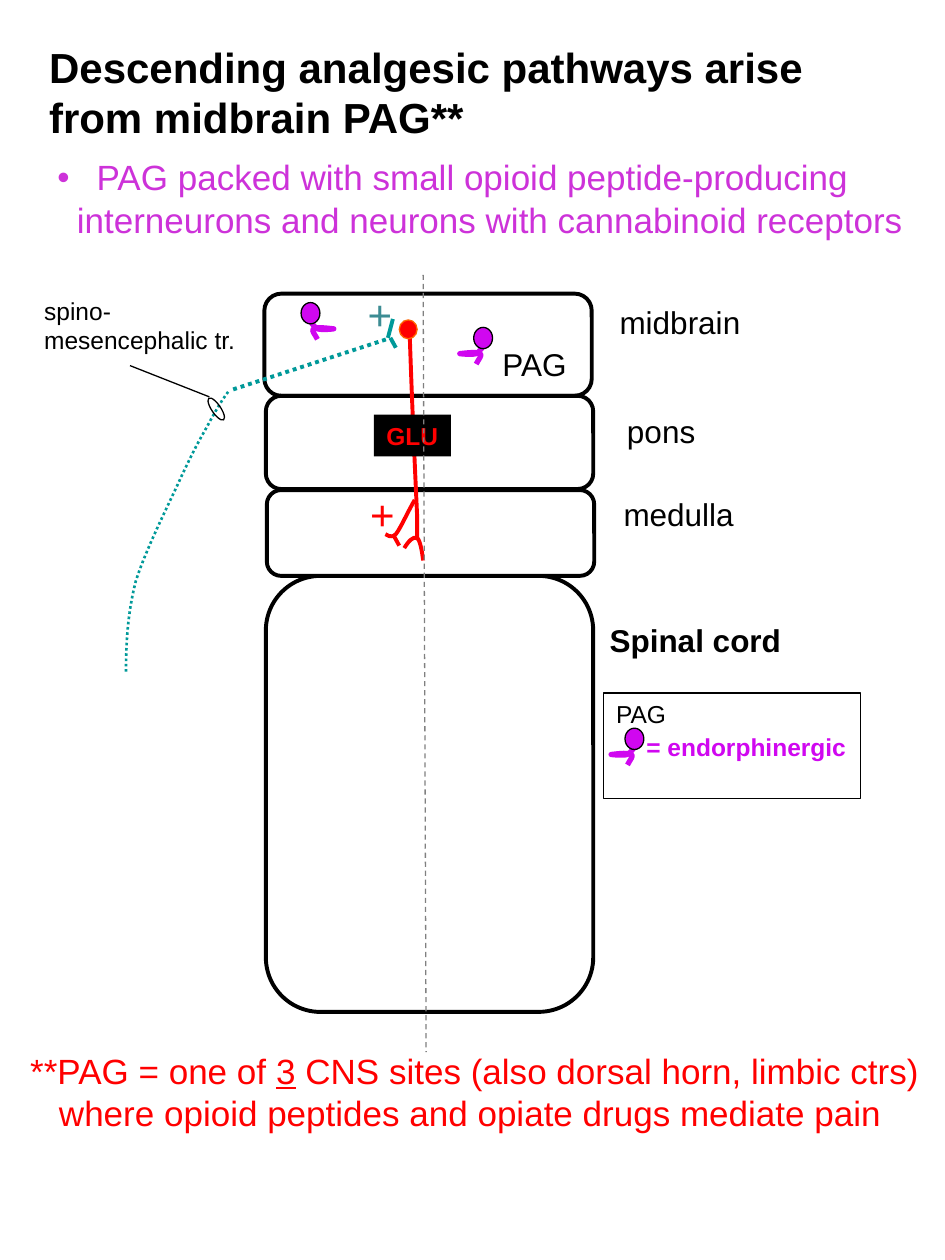
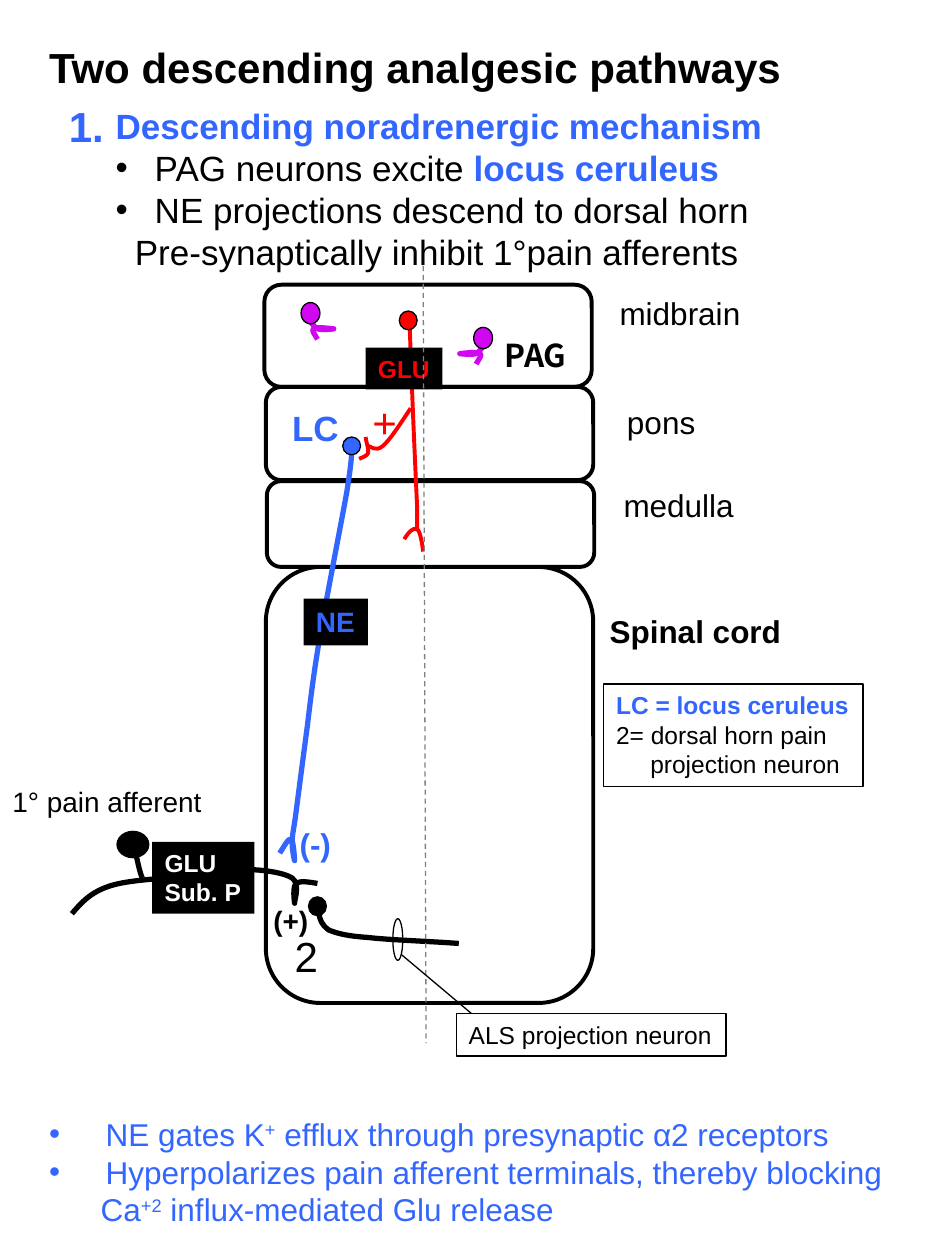
"""Build two slides on the descending analgesic pathways from the midbrain PAG."""
from lxml import etree
from pptx import Presentation
from pptx.dml.color import RGBColor
from pptx.enum.dml import MSO_LINE
from pptx.enum.shapes import MSO_CONNECTOR, MSO_SHAPE
from pptx.enum.text import MSO_ANCHOR, PP_ALIGN
from pptx.oxml.ns import qn
from pptx.util import Cm, Pt

STRAIGHT = MSO_CONNECTOR.STRAIGHT
RECTANGLE, ROUNDED, OVAL = MSO_SHAPE.RECTANGLE, MSO_SHAPE.ROUNDED_RECTANGLE, MSO_SHAPE.OVAL
DASH, DOT = MSO_LINE.DASH, MSO_LINE.ROUND_DOT
TOP, LEFT = MSO_ANCHOR.TOP, PP_ALIGN.LEFT

COLORS = {
    "black": "000000", "white": "FFFFFF", "red": "FF0000", "orange": "FF6600",
    "blue": "3366FF", "purple": "D007F0", "orchid": "CD32D9", "teal": "009999",
    "dark teal": "3C8C93", "gray": "808080",
}
RGB = {name: RGBColor.from_string(value) for name, value in COLORS.items()}


def write(page, place, paragraphs, size, color="black", bold=False, fill=None, edge=None,
          wrap=False, font="Arial", gap=0):
    """Write paragraphs, each a string or (margin, bullet, spans), in a plain or framed box."""
    area = [Cm(length) for length in place]
    if fill or edge:
        box = page.shapes.add_shape(RECTANGLE, *area)
        box.shadow.inherit = False
        box.fill.background()
        box.line.fill.background()
        if fill:
            box.fill.solid()
            box.fill.fore_color.rgb = RGB[fill]
        if edge:
            box.line.color.rgb = RGB[edge]
            box.line.width = Pt(0.75)
    else:
        box = page.shapes.add_textbox(*area)
    frame = box.text_frame
    frame.word_wrap = wrap
    frame.vertical_anchor = TOP
    for index, content in enumerate(paragraphs):
        para = frame.add_paragraph() if index else frame.paragraphs[0]
        para.alignment = LEFT
        if index and gap:
            para.space_before = Pt(gap)
        if isinstance(content, str):
            content = (0, False, [(content, {})])
        margin, bullet, spans = content
        if margin:
            properties = para._p.get_or_add_pPr()
            properties.set("marL", str(Cm(margin)))
            properties.set("indent", str(-Cm(margin) if bullet else 0))
            if bullet:
                etree.SubElement(properties, qn("a:buFont")).set("typeface", font)
                etree.SubElement(properties, qn("a:buChar")).set("char", "•")
        for text, style in spans:
            span = para.add_run()
            span.text = text
            span.font.name = font
            span.font.size = Pt(size)
            span.font.bold = style.get("bold", bold)
            span.font.color.rgb = RGB[style.get("color", color)]
            if "underline" in style:
                span.font.underline = True
            if "raised" in style:
                span._r.get_or_add_rPr().set("baseline", "30000")


def trace(page, points, color, width=2.25, dash=None, fill=None):
    """Draw a chain of cubic curves: a start point, then three points for each curve."""
    start, *rest = [(Cm(x), Cm(y)) for x, y in points]
    builder = page.shapes.build_freeform(*start)
    builder.add_line_segments(rest, close=False)
    curve = builder.convert_to_shape()
    segments = list(curve._element.iter(qn("a:lnTo")))
    for first in range(0, len(segments), 3):
        bend = etree.Element(qn("a:cubicBezTo"))
        segments[first].addprevious(bend)
        for segment in segments[first:first + 3]:
            bend.append(segment[0])
            segment.getparent().remove(segment)
    curve.shadow.inherit = False
    curve.fill.background()
    if fill:
        curve.fill.solid()
        curve.fill.fore_color.rgb = RGB[fill]
    curve.line.color.rgb = RGB[color]
    curve.line.width = Pt(width)
    if dash:
        curve.line.dash_style = dash


deck = Presentation()
deck.slide_width, deck.slide_height = Cm(19.05), Cm(25.4)
pathway, noradrenergic = [deck.slides.add_slide(deck.slide_layouts[6]) for _ in range(2)]

bands = [(5.33, 5.92, 2.06), (5.36, 11.61, 8.79), (5.36, 7.98, 1.88), (5.38, 9.88, 1.73)]
labels = [("midbrain", 12.24, 5.99), ("pons", 12.39, 8.18), ("medulla", 12.32, 9.86),
          ("Spinal cord", 12.04, 12.4)]
axon = [(8.26, 6.73), (8.31, 8.26), (8.38, 9.75), (8.41, 10.41), (8.41, 11.07),
        (8.41, 10.87), (8.41, 10.67)]
fork = [(8.15, 11.05), (8.23, 10.92), (8.33, 10.8), (8.41, 10.85), (8.46, 10.87),
        (8.51, 11.1), (8.53, 11.3)]
variants = [
    (pathway, 0, "Descending analgesic pathways arise from midbrain PAG**", 2.31, (7.54, 8.36),
     (5.18, 2.13), 2,
     ["PAG", (0.61, False, [("= endorphinergic", {"color": "purple", "bold": True})])]),
    (noradrenergic, -0.18, "Two descending analgesic pathways", 1.27, (7.37, 7.01),
     (5.23, 2.06), 0,
     [(0, False, [("LC = locus ceruleus", {"color": "blue", "bold": True})]),
      "2= dorsal horn pain", (0.69, False, [("projection neuron", {})])]),
]
for page, shift, title, title_height, tag, legend_size, gap, legend in variants:
    write(page, (0.74, 0.71, 17.5, title_height), [title], 24, bold=True, wrap=True)
    for left, top, height in bands:
        band = page.shapes.add_shape(ROUNDED, Cm(left), Cm(top + shift), Cm(6.6), Cm(height))
        band.shadow.inherit = False
        band.fill.solid()
        band.fill.fore_color.rgb = RGB["white"]
        band.line.color.rgb = RGB["black"]
        band.line.width = Pt(2.25)
    for name, left, top in labels:
        write(page, (left, top + shift, 4.98, 2.54), [name], 18, bold=name == "Spinal cord",
              wrap=True)
    write(page, (12.17, 13.97 + shift, *legend_size), legend, 14, edge="black", gap=gap)
    for curve in (axon, fork):
        trace(page, [(x, y + shift) for x, y in curve], "red")
    write(page, (*tag, 1.55, 0.84), ["GLU"], 14, "red", True, fill="black")

blue_axon = [
    (7.09, 9.07), (7.09, 9.17), (7.09, 9.3), (6.99, 9.93), (6.88, 10.54), (6.58, 12.07),
    (6.45, 12.83), (6.32, 13.61), (6.27, 14.02), (6.2, 14.61), (6.12, 15.21), (6.02, 15.98),
    (5.97, 16.36), (5.92, 16.76), (5.89, 16.81), (5.89, 16.99), (5.89, 17.15), (5.94, 17.37),
    (5.94, 17.35), (5.94, 17.35), (5.92, 16.94), (5.87, 16.92), (5.82, 16.89), (5.74, 17.04),
    (5.64, 17.2)]
afferent = [
    (1.45, 18.42), (1.63, 18.21), (1.8, 18.01), (2.16, 17.88), (2.51, 17.75), (3.07, 17.73),
    (3.53, 17.68), (3.99, 17.63), (4.55, 17.53), (4.95, 17.53), (5.33, 17.53), (5.74, 17.6),
    (5.89, 17.7), (6.07, 17.83), (5.92, 18.19), (5.94, 18.21), (5.94, 18.21), (5.89, 17.88),
    (5.97, 17.81), (6.05, 17.75), (6.22, 17.78), (6.4, 17.81)]
afferent_stalk = [(2.72, 17.12), (2.77, 17.35), (2.82, 17.6), (2.87, 17.7)]
projection = [(6.43, 18.42), (6.45, 18.54), (6.48, 18.64), (6.63, 18.75), (6.81, 18.82),
              (6.99, 18.87), (7.42, 18.9), (7.85, 18.95), (8.56, 18.97), (9.25, 19.02)]
pons_branch = [(8.28, 8.23), (8.08, 8.53), (7.87, 8.86), (7.72, 8.99), (7.57, 9.12),
               (7.47, 8.99), (7.42, 8.99)]
pons_terminal = [(7.37, 8.81), (7.39, 8.94), (7.44, 9.07), (7.42, 9.14), (7.39, 9.19),
                 (7.32, 9.22), (7.24, 9.25)]
medulla_branch = [(8.36, 10.08), (8.2, 10.36), (8.08, 10.64), (7.98, 10.77), (7.87, 10.87),
                  (7.8, 10.77), (7.77, 10.77)]
medulla_terminal = [(7.92, 10.77), (7.98, 10.87), (8.03, 10.97), (8.05, 11)]
spinal_tract = [
    (4.6, 7.9), (4.45, 8.1), (4.32, 8.33), (4.17, 8.61), (4.01, 8.89), (3.91, 9.07),
    (3.66, 9.6), (3.43, 10.11), (2.95, 11.05), (2.74, 11.71), (2.57, 12.37), (2.54, 12.98),
    (2.54, 13.59)]
for curve in (medulla_branch, medulla_terminal):
    trace(pathway, curve, "red")
trace(pathway, spinal_tract, "teal", 1.5, DOT)
for curve in (pons_branch, pons_terminal):
    trace(noradrenergic, curve, "red")
trace(noradrenergic, blue_axon, "blue", 3)
for curve in (afferent, afferent_stalk, projection):
    trace(noradrenergic, curve, "black", 3)

dendrite = [(0.25, 0.28), (0.2, 0.38), (0.13, 0.48), (0.05, 0.53), (-0.05, 0.56),
            (-0.28, 0.53), (-0.28, 0.53), (-0.25, 0.53), (0.05, 0.48), (0.13, 0.53),
            (0.18, 0.56), (0.1, 0.64), (0.05, 0.74)]
soma_width, soma_height = 0.38, 0.43
neurons = [(page, *spot) for page in (pathway, noradrenergic)
           for spot in ((9.55, 6.6, False), (6.07, 6.1, True))]
neurons.append((pathway, 12.6, 14.68, False))
ovals = [
    (pathway, 8.05, 6.45, 0.36, 0.38, "red", "orange", 0),
    (pathway, 4.27, 7.98, 0.18, 0.53, None, "black", 325.7),
    (noradrenergic, 8.05, 6.27, 0.36, 0.38, "red", "black", 0),
    (noradrenergic, 6.91, 8.81, 0.36, 0.36, "blue", "black", 0),
    (noradrenergic, 6.22, 18.08, 0.36, 0.38, "black", "black", 0),
    (noradrenergic, 2.36, 16.76, 0.64, 0.53, "black", "black", 0),
    (noradrenergic, 7.92, 18.52, 0.2, 0.84, None, "black", 0),
]
for page, left, top, mirrored in neurons:
    neuron = page.shapes.add_group_shape()
    branch = [(left + (soma_width - x if mirrored else x), top + y) for x, y in dendrite]
    trace(neuron, branch, "purple", 3, fill="purple")
    ovals.append((neuron, left, top, soma_width, soma_height, "purple", "black", 0))
for parent, left, top, width, height, fill, edge, angle in ovals:
    oval = parent.shapes.add_shape(OVAL, Cm(left), Cm(top), Cm(width), Cm(height))
    oval.shadow.inherit = False
    oval.rotation = angle
    oval.fill.background()
    if fill:
        oval.fill.solid()
        oval.fill.fore_color.rgb = RGB[fill]
    oval.line.color.rgb = RGB[edge]
    oval.line.width = Pt(0.75)

lines = [
    (pathway, 8.53, 5.54, 8.59, 21.21, "gray", 0.75, DASH),
    (pathway, 4.7, 7.85, 7.82, 6.83, "teal", 2.25, DOT),
    (pathway, 7.82, 6.81, 7.92, 6.43, "teal", 2.25, None),
    (pathway, 7.87, 6.81, 7.98, 7.01, "teal", 2.25, None),
    (pathway, 4.22, 8, 2.62, 7.37, "black", 0.75, None),
    (noradrenergic, 8.53, 5.36, 8.59, 21.03, "gray", 0.75, DASH),
    (noradrenergic, 8.1, 19.25, 9.55, 20.47, "black", 0.75, None),
]
for page, x1, y1, x2, y2, color, width, dash in lines:
    line = page.shapes.add_connector(STRAIGHT, Cm(x1), Cm(y1), Cm(x2), Cm(y2))
    line.line.color.rgb = RGB[color]
    line.line.width = Pt(width)
    if dash:
        line.line.dash_style = dash
    etree.SubElement(line._element.spPr, qn("a:effectLst"))

write(pathway, (0.91, 3.02, 18, 1.96), [
    (0.79, True, [("PAG packed with small opioid peptide-producing", {})]),
    (0.39, False, [("interneurons and neurons with cannabinoid receptors", {})]),
], 20, "orchid", wrap=True)
write(pathway, (0.64, 5.84, 5.66, 1.45), ["spino-", "mesencephalic tr."], 14, wrap=True)
write(pathway, (7.16, 5.69, 1.02, 1.27), ["+"], 24, "dark teal")
write(pathway, (7.21, 9.73, 1.02, 1.27), ["+"], 24, "red")
write(pathway, (9.88, 6.83, 1.83, 1.02), ["PAG"], 18)
write(pathway, (0.36, 21.03, 18.57, 2.82), [
    (0, False, [("**PAG = one of ", {}), ("3", {"underline": True}),
                (" CNS sites (also dorsal horn, limbic ctrs)", {})]),
    (0.58, False, [("where opioid peptides and opiate drugs mediate pain", {})]),
], 20, "red", wrap=True)

write(noradrenergic, (1.14, 1.9, 1.22, 1.27), ["1."], 24, "blue", True)
strong_blue = {"color": "blue", "bold": True}
write(noradrenergic, (2.08, 1.98, 14.17, 3.68), [
    (0, False, [("Descending noradrenergic mechanism", strong_blue)]),
    (0.79, True, [("PAG neurons excite ", {}), ("locus ceruleus", strong_blue)]),
    (0.79, True, [("NE projections descend to dorsal horn", {})]),
    (0.39, False, [("Pre-synaptically inhibit 1°pain afferents", {})]),
], 20, wrap=True)
write(noradrenergic, (9.93, 6.65, 1.9, 1.02), ["PAG"], 18, bold=True, font="Noto Sans CJK JP")
write(noradrenergic, (5.64, 8.08, 1.45, 1.09), ["LC"], 20, "blue", True)
write(noradrenergic, (7.26, 7.87, 1.02, 1.27), ["+"], 24, "red")
write(noradrenergic, (6.12, 12.07, 1.3, 0.94), ["NE"], 16, "blue", True, fill="black")
write(noradrenergic, (0, 15.7, 4.34, 0.94), ["1° pain afferent"], 16)
write(noradrenergic, (5.79, 16.51, 1.14, 1.02), ["(-)"], 18, "blue", True)
write(noradrenergic, (3.07, 16.97, 2.06, 1.45), ["GLU", "Sub. P"], 14, "white", True, fill="black")
write(noradrenergic, (5.26, 18.08, 1.22, 0.94), ["(+)"], 16, bold=True)
write(noradrenergic, (5.69, 18.64, 0.99, 1.27), ["2"], 24)
write(noradrenergic, (9.2, 20.43, 5.44, 0.86), ["ALS projection neuron"], 14,
      fill="white", edge="black")
write(noradrenergic, (0.74, 22.35, 18.31, 2.57), [
    (1.14, True, [("NE gates K", {}), ("+", {"raised": True}),
                  (" efflux through presynaptic α2 receptors", {})]),
    (1.14, True, [("Hyperpolarizes pain afferent terminals, thereby blocking", {})]),
    (1.04, False, [("Ca", {}), ("+2", {"raised": True}), (" influx-mediated Glu release", {})]),
], 18, "blue", wrap=True)

deck.save("out.pptx")
